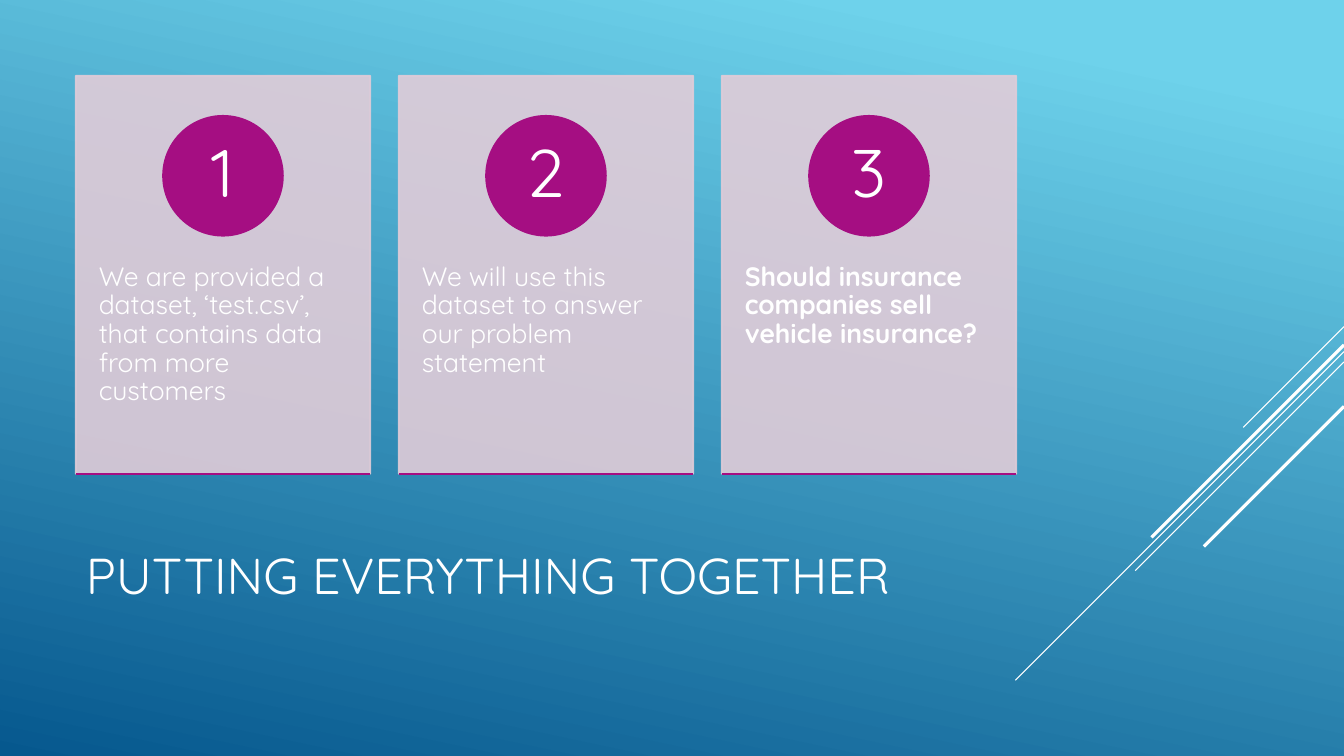
from lxml import etree
from pptx import Presentation
from pptx.dml.color import RGBColor
from pptx.enum.shapes import MSO_CONNECTOR, MSO_SHAPE
from pptx.enum.text import MSO_ANCHOR, MSO_AUTO_SIZE, PP_ALIGN
from pptx.oxml.ns import qn
from pptx.util import Cm, Pt

STRAIGHT = MSO_CONNECTOR.STRAIGHT
RECTANGLE, OVAL = MSO_SHAPE.RECTANGLE, MSO_SHAPE.OVAL
TOP, MIDDLE = MSO_ANCHOR.TOP, MSO_ANCHOR.MIDDLE
LEFT, CENTER = PP_ALIGN.LEFT, PP_ALIGN.CENTER
NO_FIT = MSO_AUTO_SIZE.NONE

FONT = "Quicksand"
COLORS = {
    "sky": "6ED2EB",
    "deep": "06588E",
    "white": "FFFFFF",
    "card": "E1CCD8",
    "accent": "A50E82",
}
PAGE_WIDTH, PAGE_HEIGHT = 33.87, 19.05
MARGIN = 1.91
CARD_WIDTH, CARD_HEIGHT, CARD_PITCH = 7.42, 10.03, 8.14
BADGE_SIZE, BADGE_TOP = 3.02, 2.92
NUMBER_SIZE = 2.13
STRIPES = [
    (8.23, 2.54, 0.75),
    (8.86, 8.28, 0.75),
    (9.12, 5.26, 0.75),
    (8.69, 4.85, 2.25),
    (10.24, 3.53, 2.25),
]
CARDS = [
    ("We are provided a dataset, ‘test.csv’, that contains data from more customers", False),
    ("We will use this dataset to answer our problem statement", False),
    ("Should insurance companies sell vehicle insurance?", True),
]


def color(name):
    return RGBColor.from_string(COLORS[name])


def paint_background(page):
    fill = page.background.fill
    fill.gradient()
    fill.gradient_angle = 258
    for stop, name, position in zip(fill.gradient_stops, ("sky", "deep"), (0.1, 1)):
        stop.color.rgb = color(name)
        stop.position = position


def add_line(page, start, end, name, width):
    line = page.shapes.add_connector(STRAIGHT, *map(Cm, start + end))
    line.line.color.rgb = color(name)
    line.line.width = Pt(width)
    etree.SubElement(line._element.spPr, qn("a:effectLst"))


def add_block(page, kind, place, name, opacity=100):
    block = page.shapes.add_shape(kind, *map(Cm, place))
    block.shadow.inherit = False
    block.fill.solid()
    block.fill.fore_color.rgb = color(name)
    block.line.color.rgb = color(name)
    block.line.width = Pt(1.25)
    if opacity < 100:
        for tint in block._element.spPr.iter(qn("a:srgbClr")):
            etree.SubElement(tint, qn("a:alpha"), val=str(opacity * 1000))


def write_text(box, text, size, align, anchor, bold=False):
    frame = box.text_frame
    frame.word_wrap = True
    frame.auto_size = NO_FIT
    frame.vertical_anchor = anchor
    para = frame.paragraphs[0]
    para.alignment = align
    para.line_spacing = 0.9
    span = para.add_run()
    span.text = text
    span.font.name = FONT
    span.font.size = Pt(size)
    span.font.bold = bold
    span.font.color.rgb = color("white")


def add_text(page, place, insets, text, size, align, anchor, bold=False):
    box = page.shapes.add_textbox(*map(Cm, place))
    frame = box.text_frame
    frame.margin_left = frame.margin_right = Cm(insets[0])
    frame.margin_top = frame.margin_bottom = Cm(insets[1])
    write_text(box, text, size, align, anchor, bold)


def add_title(page, text):
    title = page.shapes.title
    title.left, title.top = Cm(MARGIN), Cm(12.47)
    title.width, title.height = Cm(23.7), Cm(4.19)
    write_text(title, text, 36, LEFT, MIDDLE)


def add_card(page, index, text, bold):
    left = MARGIN + index * CARD_PITCH
    bottom = MARGIN + CARD_HEIGHT
    badge_left = left + (CARD_WIDTH - BADGE_SIZE) / 2
    inset = (BADGE_SIZE - NUMBER_SIZE) / 2
    add_block(page, RECTANGLE, (left, MARGIN, CARD_WIDTH, CARD_HEIGHT), "card", 90)
    add_text(page, (left, 5.72, CARD_WIDTH, 6.02), (0.58, 0.91), text, 19, LEFT, TOP, bold)
    add_block(page, OVAL, (badge_left, BADGE_TOP, BADGE_SIZE, BADGE_SIZE), "accent")
    number_place = (badge_left + inset, BADGE_TOP + inset, NUMBER_SIZE, NUMBER_SIZE)
    add_text(page, number_place, (0.23, 0.03), str(index + 1), 48, CENTER, MIDDLE)
    add_line(page, (left, bottom), (left + CARD_WIDTH, bottom), "accent", 1.25)


def main():
    deck = Presentation()
    deck.slide_width, deck.slide_height = Cm(PAGE_WIDTH), Cm(PAGE_HEIGHT)
    page = deck.slides.add_slide(deck.slide_layouts.get_by_name("Title Only"))
    paint_background(page)
    for top, reach, width in STRIPES:
        add_line(page, (PAGE_WIDTH, top), (PAGE_WIDTH - reach, top + reach), "white", width)
    add_title(page, "PUTTING EVERYTHING TOGETHER")
    for index, (text, bold) in enumerate(CARDS):
        add_card(page, index, text, bold)
    deck.save("out.pptx")


if __name__ == "__main__":
    main()
